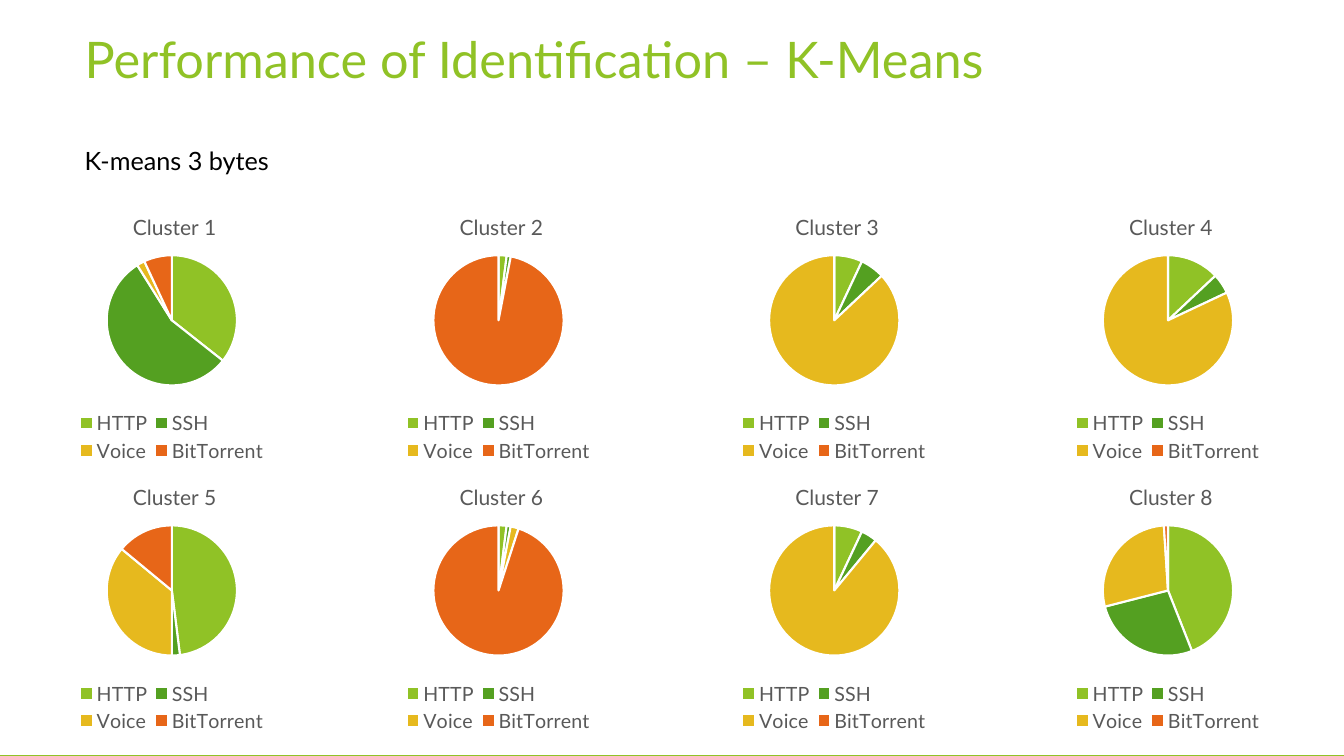
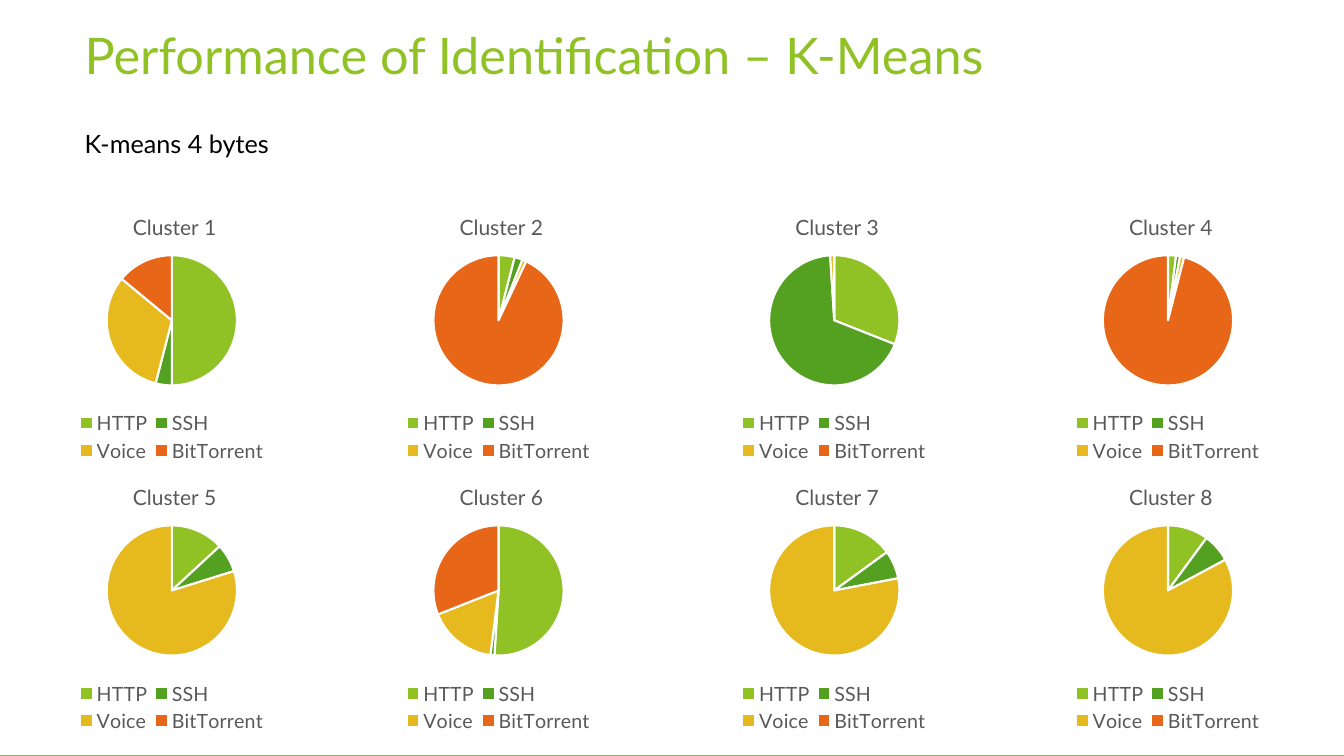
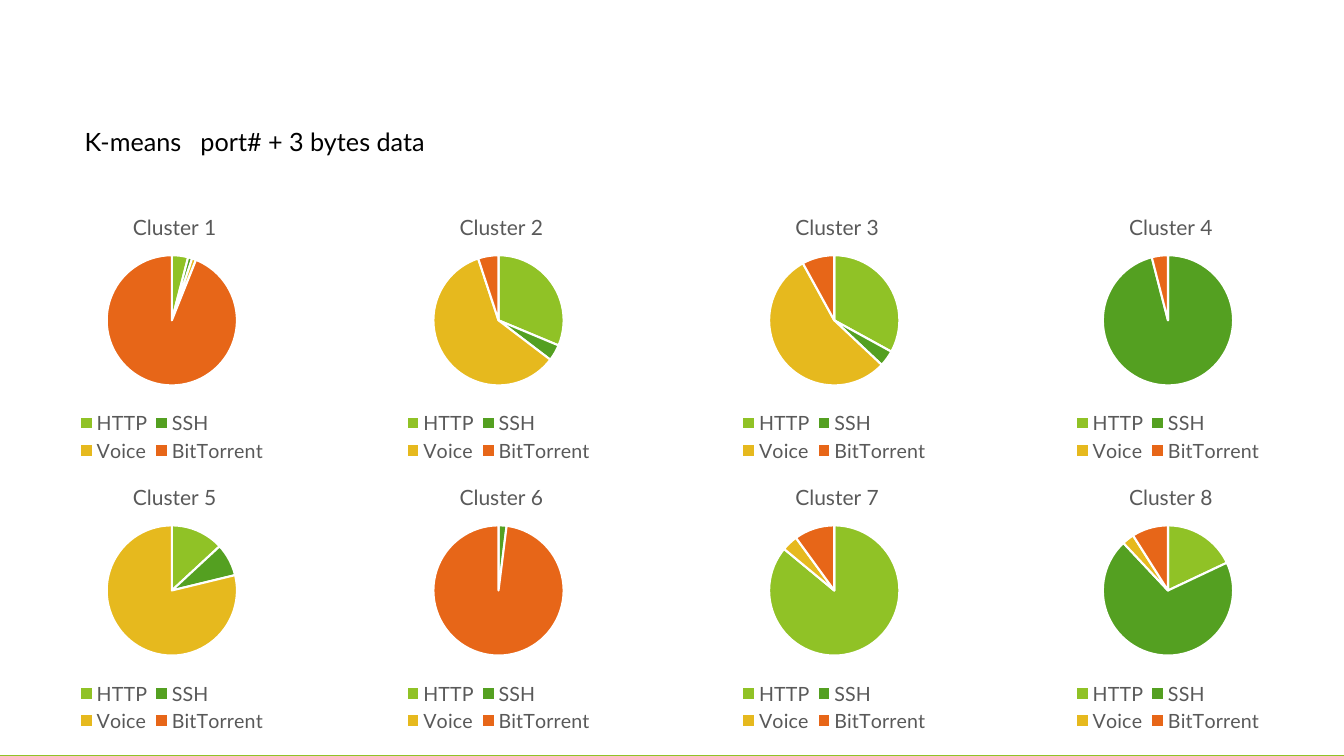
from itertools import product

from lxml import etree
from pptx import Presentation
from pptx.chart.data import CategoryChartData
from pptx.dml.color import RGBColor
from pptx.enum.chart import XL_CHART_TYPE as ChartType, XL_LEGEND_POSITION as LegendPosition
from pptx.enum.shapes import MSO_SHAPE as Preset
from pptx.enum.text import MSO_ANCHOR as Anchor, MSO_AUTO_SIZE as AutoSize, PP_ALIGN as Align
from pptx.oxml.ns import qn
from pptx.util import Inches, Pt

FONT = "Lato"
WHITE = RGBColor(0xFF, 0xFF, 0xFF)
BLACK = RGBColor(0x00, 0x00, 0x00)
GRAY = RGBColor(0x59, 0x59, 0x59)
LIME = RGBColor(0x90, 0xC2, 0x26)
GREEN = RGBColor(0x54, 0xA0, 0x21)
YELLOW = RGBColor(0xE6, 0xB9, 0x1E)
ORANGE = RGBColor(0xE7, 0x66, 0x18)

TITLE_ONLY, BLANK = 5, 6
LEFT_MARGIN = 0.74
TITLE = "Performance of Identification – K-Means"
PROTOCOLS = {"HTTP": LIME, "SSH": GREEN, "Voice": YELLOW, "BitTorrent": ORANGE}

CHART_TOPS = (1.9, 4.58)
CHART_LEFTS = (-0.65, 2.59, 5.92, 9.23)
CHART_WIDTH, CHART_HEIGHT = 4.71, 2.75
PIE_DIAMETER = 1.3

THREE_BYTES = [
    (36, 56, 2, 7), (2, 1, 0, 96), (7, 6, 87, 0), (13, 5, 82, 0),
    (48, 2, 36, 14), (2, 1, 2, 95), (7, 4, 89, 0), (44, 27, 28, 1),
]
FOUR_BYTES = [
    (50, 4, 32, 14), (4, 2, 1, 93), (31, 68, 1, 0), (2, 1, 1, 96),
    (13, 7, 79, 0), (51, 1, 17, 31), (15, 7, 78, 0), (10, 7, 82, 0),
]
PORT_AND_BYTES = [
    (4, 1, 1, 93), (31, 4, 59, 5), (33, 4, 55, 8), (0, 96, 0, 4),
    (13, 8, 78, 0), (0, 2, 0, 98), (86, 0, 4, 10), (18, 70, 3, 9),
]


def format_font(font, size, color):
    font.name = FONT
    font.size = Pt(size)
    font.bold = False
    font.color.rgb = color


def write_text(frame, text, *, size, color, tab=None):
    """Fill a text frame with one left-aligned paragraph, with a tab stop if given."""
    frame.word_wrap = True
    frame.auto_size = AutoSize.NONE
    frame.vertical_anchor = Anchor.TOP
    paragraph = frame.paragraphs[0]
    paragraph.text = text
    paragraph.alignment = Align.LEFT
    if tab:
        tab_list = etree.SubElement(paragraph._p.get_or_add_pPr(), qn("a:tabLst"))
        etree.SubElement(tab_list, qn("a:tab"), pos=str(Inches(tab)), algn="l")
    format_font(paragraph.runs[0].font, size, color)


def add_panel(slide):
    panel = slide.shapes.add_shape(
        Preset.RECTANGLE, Inches(-0.34), Inches(-0.11), Inches(14.02), Inches(7.61))
    panel.shadow.inherit = False
    panel.fill.solid()
    panel.fill.fore_color.rgb = WHITE
    panel.line.color.rgb = LIME
    panel.line.width = Pt(1.5)


def set_title(slide, top):
    title = slide.shapes.title
    title.left, title.top = Inches(LEFT_MARGIN), Inches(top)
    title.width, title.height = Inches(9.4), Inches(1.44)
    write_text(title.text_frame, TITLE, size=36, color=LIME)
    # The title belongs in front of the panel
    slide.shapes._spTree.append(title._element)


def add_subtitle(slide, text, top, width, tab=None):
    box = slide.shapes.add_textbox(
        Inches(LEFT_MARGIN), Inches(top), Inches(width), Inches(0.4))
    write_text(box.text_frame, text, size=18, color=BLACK, tab=tab)


def set_layout(element, index, inner=False, **fractions):
    """Place a chart part by fractions (x, y, w, h) of the chart's size."""
    for layout in element.findall(qn("c:layout")):
        element.remove(layout)
    layout = etree.Element(qn("c:layout"))
    element.insert(index, layout)
    manual = etree.SubElement(layout, qn("c:manualLayout"))
    settings = {"layoutTarget": "inner"} if inner else {}
    settings.update(xMode="edge", yMode="edge", **fractions)
    for name, value in settings.items():
        etree.SubElement(manual, qn(f"c:{name}"), val=str(value))


def add_cluster_pie(slide, name, values, left, top):
    data = CategoryChartData(number_format="0")
    data.categories = list(PROTOCOLS)
    data.add_series("Series 1", values)
    chart = slide.shapes.add_chart(
        ChartType.PIE, Inches(left), Inches(top),
        Inches(CHART_WIDTH), Inches(CHART_HEIGHT), data).chart
    format_font(chart.font, 10, BLACK)

    chart.has_title = True
    frame = chart.chart_title.text_frame
    frame.text = name
    format_font(frame.paragraphs[0].runs[0].font, 15, GRAY)
    set_layout(chart.chart_title._element, 1, x=0.41, y=0.06)

    chart.has_legend = True
    chart.legend.position = LegendPosition.BOTTOM
    chart.legend.include_in_layout = False
    format_font(chart.legend.font, 14, GRAY)
    set_layout(chart.legend._element, 1, x=0.29, y=0.78, w=0.42, h=0.21)

    plot = chart.plots[0]
    plot.vary_by_categories = True
    pie_width = PIE_DIAMETER / CHART_WIDTH
    set_layout(plot._element.getparent(), 0, inner=True,
               x=round((1 - pie_width) / 2, 2), y=0.23,
               w=round(pie_width, 2), h=round(PIE_DIAMETER / CHART_HEIGHT, 2))
    for index, color in enumerate(PROTOCOLS.values()):
        slice_format = plot.series[0].points[index].format
        slice_format.fill.solid()
        slice_format.fill.fore_color.rgb = color
        slice_format.line.color.rgb = WHITE
        slice_format.line.width = Pt(1.5)


def add_cluster_slide(presentation, clusters, subtitle, subtitle_top,
                      subtitle_width=2.1, title_top=None, tab=None):
    """Add a slide of eight pies; without title_top it has no title."""
    layout = BLANK if title_top is None else TITLE_ONLY
    slide = presentation.slides.add_slide(presentation.slide_layouts[layout])
    add_panel(slide)
    if title_top is not None:
        set_title(slide, title_top)
    places = product(CHART_TOPS, CHART_LEFTS)
    for number, (values, (top, left)) in enumerate(zip(clusters, places), 1):
        add_cluster_pie(slide, f"Cluster {number}", values, left, top)
    add_subtitle(slide, subtitle, subtitle_top, subtitle_width, tab)


def main():
    presentation = Presentation()
    presentation.slide_width = Inches(13.33)
    presentation.slide_height = Inches(7.5)
    add_cluster_slide(presentation, THREE_BYTES, "K-means 3 bytes", 1.39, title_top=0.23)
    add_cluster_slide(presentation, FOUR_BYTES, "K-means 4 bytes", 1.22, title_top=0.19)
    add_cluster_slide(presentation, PORT_AND_BYTES, "K-means\tport# + 3 bytes data", 1.2,
                      subtitle_width=3.67, tab=1.15)
    presentation.save("out.pptx")


if __name__ == "__main__":
    main()
